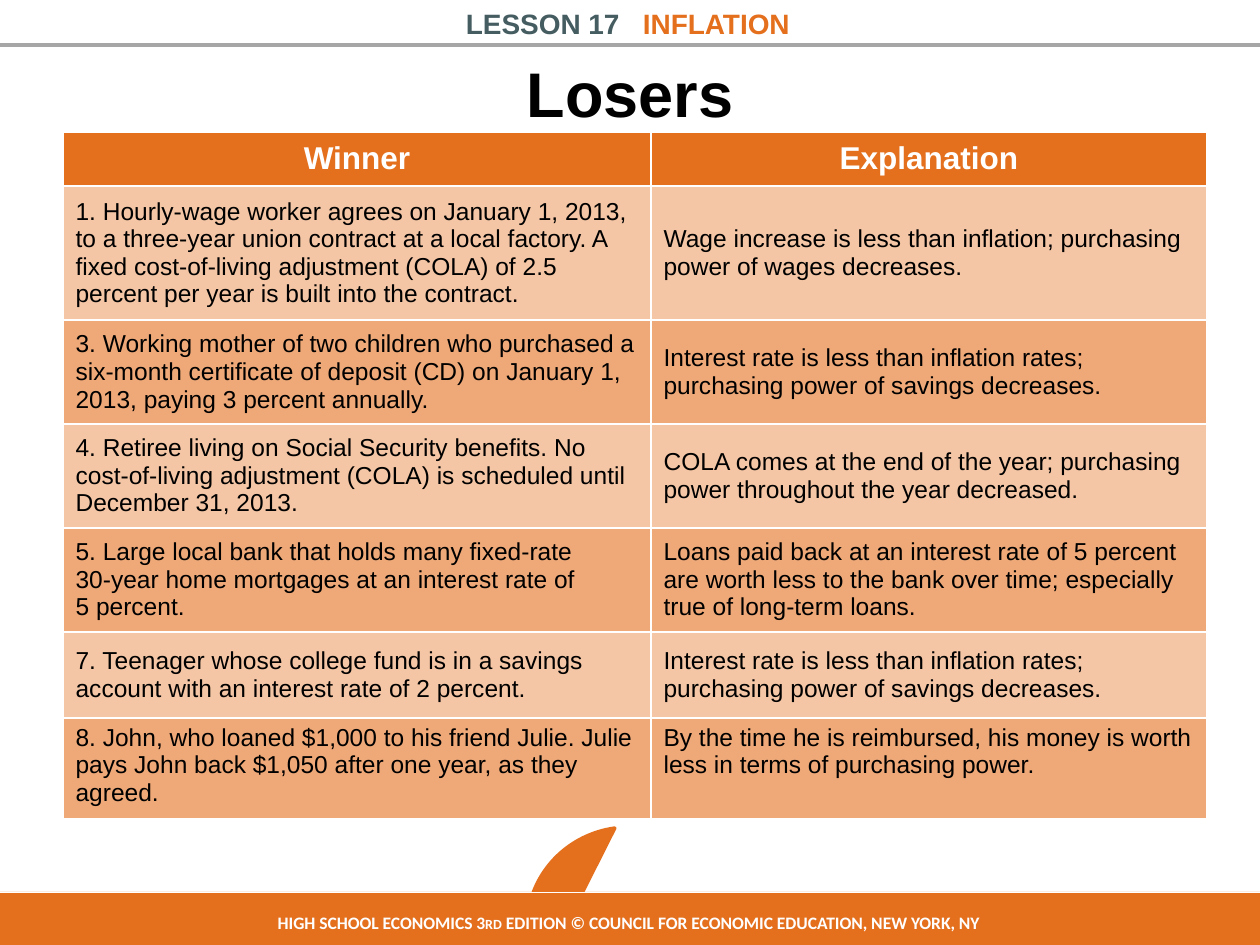
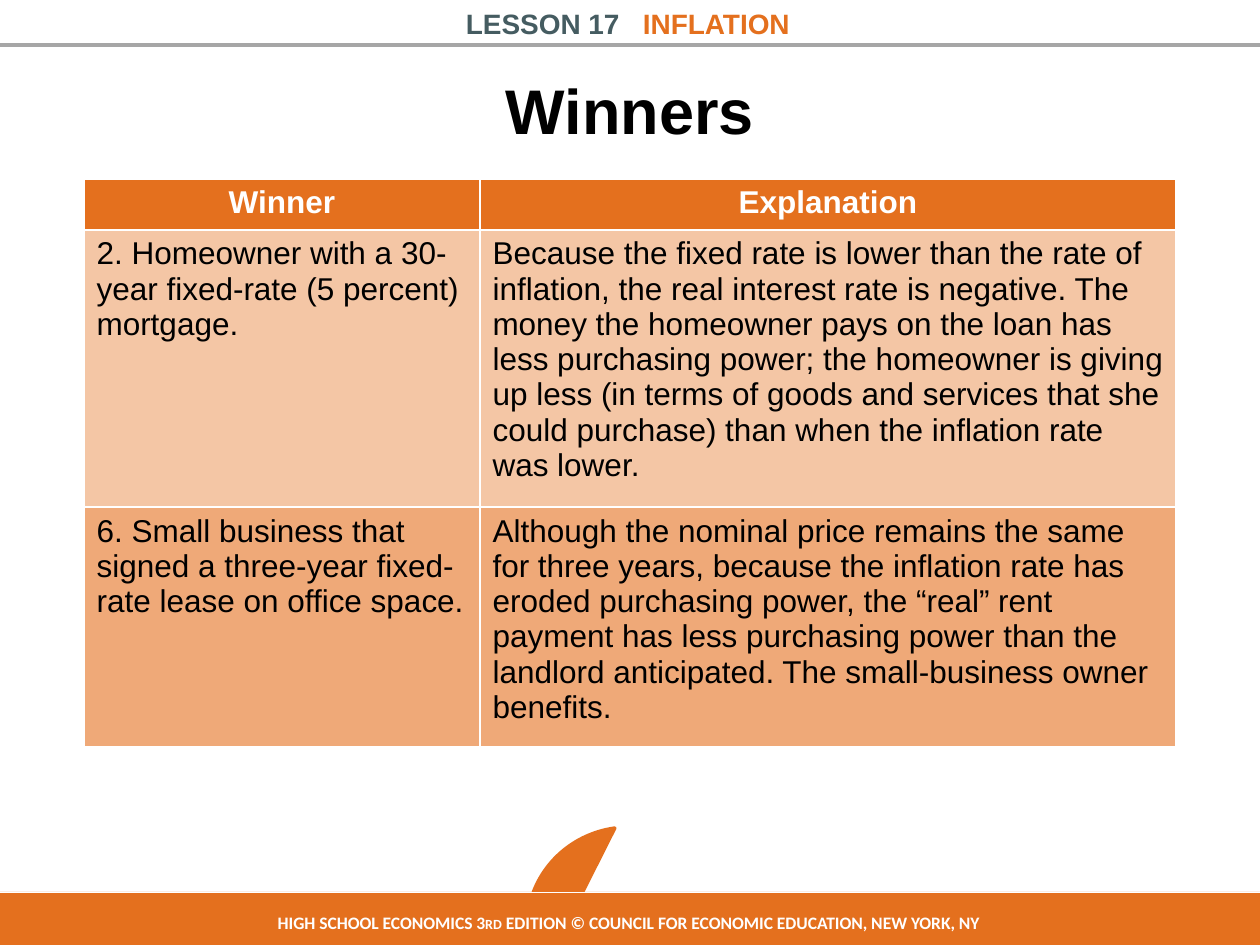
from lxml.etree import SubElement
from pptx import Presentation
from pptx.dml.color import RGBColor
from pptx.enum.shapes import MSO_CONNECTOR, MSO_SHAPE
from pptx.enum.text import MSO_ANCHOR, MSO_AUTO_SIZE, PP_ALIGN
from pptx.oxml import parse_xml
from pptx.oxml.ns import nsdecls, qn
from pptx.util import Emu, Pt

COLORS = {
    "orange": "E4701E", "slate": "455C61", "gray": "A6A6A6",
    "white": "FFFFFF", "black": "000000",
    "light": "F4C6A5", "mid": "EFA978",
}
RGB = {name: RGBColor.from_string(code) for name, code in COLORS.items()}
PX = 914400 / 126  # EMU in one px


def px(*sizes):
    return [Emu(round(size * PX)) for size in sizes]


def style(para, size, color, bold=True, face="Arial", align=PP_ALIGN.CENTER):
    para.alignment = align
    font = para.font
    font.size, font.bold, font.name = Pt(size), bold, face
    font.color.rgb = RGB[color]


TOP, MIDDLE = MSO_ANCHOR.TOP, MSO_ANCHOR.MIDDLE
HEAD = ("Winner", "Explanation")
SLIDES = [
    {
        "title": "Losers", "page": "17-19", "place": (63, 58, 1134, 68),
        "table": (63, 132), "cols": (588, 556),
        "heights": (54, 134, 104, 104, 104, 86, 96),
        "size": 14, "anchors": [MIDDLE] * 6 + [TOP],
        "rows": [
            ("1. Hourly-wage worker agrees on January 1, 2013, to a three-year union contract at a local factory. "
             "A fixed cost-of-living adjustment (COLA) of 2.5 percent per year is built into the contract.",
             "Wage increase is less than inflation; purchasing power of wages decreases."),
            ("3. Working mother of two children who purchased a six-month certificate of deposit (CD) "
             "on January 1, 2013, paying 3 percent annually.",
             "Interest rate is less than inflation rates; purchasing power of savings decreases."),
            ("4. Retiree living on Social Security benefits. No cost-of-living adjustment (COLA) "
             "is scheduled until December 31, 2013.",
             "COLA comes at the end of the year; purchasing power throughout the year decreased."),
            ("5. Large local bank that holds many fixed-rate\v30-year home mortgages "
             "at an interest rate of\v5 percent.",
             "Loans paid back at an interest rate of 5 percent are worth less to the bank over time; "
             "especially true of long-term loans."),
            ("7. Teenager whose college fund is in a savings account with an interest rate of 2 percent.",
             "Interest rate is less than inflation rates; purchasing power of savings decreases."),
            ("8. John, who loaned $1,000 to his friend Julie. Julie pays John back $1,050 after one year, "
             "as they agreed.",
             "By the time he is reimbursed, his money is worth less in terms of purchasing power."),
        ],
    },
    {
        "title": "Winners", "page": "17-20", "place": (63, 54, 1134, 110),
        "table": (84, 179), "cols": (396, 696), "heights": (51, 260, 233),
        "size": 18, "anchors": [TOP] * 3,
        "rows": [
            ("2. Homeowner with a 30-year fixed-rate (5 percent) mortgage.",
             "Because the fixed rate is lower than the rate of inflation, the real interest rate is negative. "
             "The money the homeowner pays on the loan has less purchasing power; the homeowner is giving up less "
             "(in terms of goods and services that she could purchase) than when the inflation rate was lower."),
            ("6. Small business that signed a three-year fixed-rate lease on office space.",
             "Although the nominal price remains the same for three years, because the inflation rate has eroded "
             "purchasing power, the “real” rent payment has less purchasing power than the landlord anticipated. "
             "The small-business owner benefits."),
        ],
    },
]

deck = Presentation()
deck.slide_width, deck.slide_height = px(1260, 945)

for data in SLIDES:
    slide = deck.slides.add_slide(deck.slide_layouts[5])
    shapes = slide.shapes

    # Lesson header and its rule
    rule = shapes.add_connector(MSO_CONNECTOR.STRAIGHT, *px(0, 45, 1260, 45))
    rule.line.color.rgb, rule.line.width = RGB["gray"], Pt(2)
    SubElement(rule._element.spPr, qn("a:effectLst"))
    frame = shapes.add_textbox(*px(120, 0, 1018, 47)).text_frame
    frame.word_wrap = True
    frame.margin_left = px(346)[0]
    para = frame.paragraphs[0]
    para._p.get_or_add_pPr().append(parse_xml(
        f'<a:tabLst {nsdecls("a")}><a:tab pos="{px(177)[0]}" algn="l"/></a:tabLst>'))
    style(para, 16, "slate", align=PP_ALIGN.LEFT)
    para.add_run().text = "LESSON 17\t"
    topic = para.add_run()
    topic.text = "INFLATION"
    topic.font.color.rgb = RGB["orange"]

    # Page dome and footer band
    dome = shapes.add_shape(MSO_SHAPE.CHORD, *px(529, 825, 204, 209))
    dome.rotation = 112.5
    dome.adjustments[0], dome.adjustments[1] = 23.98, 89.05
    band = shapes.add_shape(MSO_SHAPE.RECTANGLE, *px(-5, 892, 1268, 53))
    for shape, edge, width in ((dome, "orange", 2), (band, "white", 0.25)):
        shape.shadow.inherit = False
        shape.fill.solid()
        shape.fill.fore_color.rgb = RGB["orange"]
        shape.line.color.rgb, shape.line.width = RGB[edge], Pt(width)
    credit = ("HIGH SCHOOL ECONOMICS 3", "rd",
              " EDITION © COUNCIL FOR ECONOMIC EDUCATION, NEW YORK, NY")
    for place, parts in (((567, 847, 126, 34), (data["page"],)),
                         ((161, 906, 935, 34), credit)):
        frame = shapes.add_textbox(*px(*place)).text_frame
        frame.word_wrap = True
        para = frame.paragraphs[0]
        style(para, 10, "white", face="Calibri")
        for part in parts:
            run = para.add_run()
            run.text = part
            if part == "rd":
                run._r.get_or_add_rPr().set("cap", "small")

    title = shapes.title
    title.left, title.top, title.width, title.height = px(*data["place"])
    title.text = data["title"]
    title.text_frame.auto_size = MSO_AUTO_SIZE.NONE
    title.text_frame.vertical_anchor = MIDDLE
    style(title.text_frame.paragraphs[0], 36, "black")

    # Table with a header row and two alternating tints
    cols, heights = data["cols"], data["heights"]
    table = shapes.add_table(len(heights), len(cols),
                             *px(*data["table"], sum(cols), sum(heights))).table
    for col, width in zip(table.columns, px(*cols)):
        col.width = width
    for row, height in zip(table.rows, px(*heights)):
        row.height = height
    for r, texts in enumerate([HEAD] + data["rows"]):
        for c, text in enumerate(texts):
            cell = table.cell(r, c)
            cell.text = text
            cell.vertical_anchor = data["anchors"][r]
            for side in "LRTB":
                cell._tc.get_or_add_tcPr().append(parse_xml(
                    f'<a:ln{side} {nsdecls("a")} w="12700"><a:solidFill>'
                    f'<a:srgbClr val="{COLORS["white"]}"/></a:solidFill></a:ln{side}>'))
            cell.fill.solid()
            para = cell.text_frame.paragraphs[0]
            if r == 0:
                cell.fill.fore_color.rgb = RGB["orange"]
                style(para, 18, "white")
            else:
                cell.fill.fore_color.rgb = RGB["light" if r % 2 else "mid"]
                style(para, data["size"], "black", bold=False, align=PP_ALIGN.LEFT)

deck.save("out.pptx")
